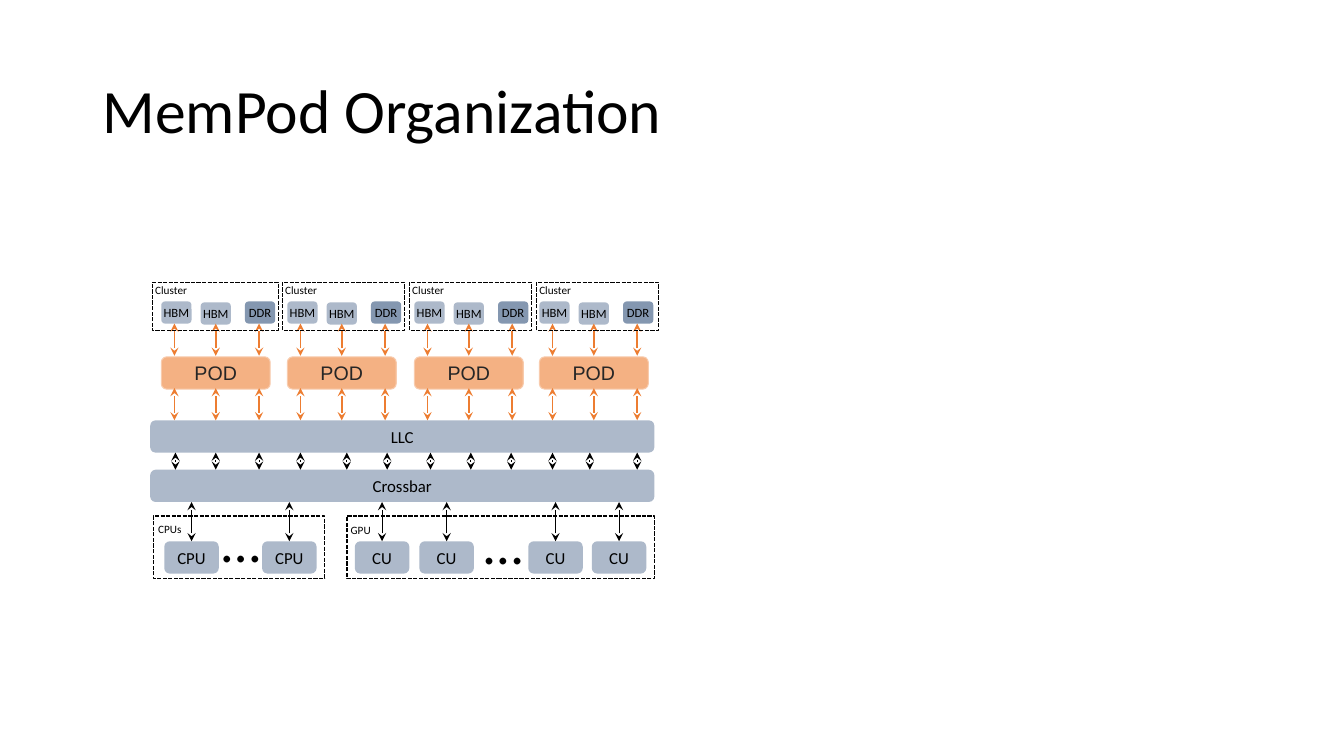
from dataclasses import dataclass
from lxml.etree import SubElement
from pptx import Presentation
from pptx.dml.color import RGBColor
from pptx.enum.dml import MSO_LINE
from pptx.enum.shapes import MSO_CONNECTOR, MSO_SHAPE
from pptx.enum.text import MSO_ANCHOR, PP_ALIGN
from pptx.oxml.ns import qn
from pptx.util import Inches, Pt


@dataclass(frozen=True)
class Theme:
    black: str = "000000"
    block: str = "ADB9CA"
    ddr: str = "8497B0"
    pod: str = "F4B183"
    pod_edge: str = "F8CBAD"
    pod_text: str = "262626"
    orange: str = "ED7D31"
    font: str = "Calibri"
    pod_font: str = "Arial"
    title: int = 44
    dots: int = 40
    pod_size: int = 14
    body: int = 12
    memory: int = 9
    caption: int = 8


T = Theme()


def rgb(color):
    return RGBColor.from_string(color)


def write(tf, text, size=T.body, color=T.black, font=T.font, align=PP_ALIGN.LEFT,
          anchor=MSO_ANCHOR.TOP, wrap=True, spacing=None):
    tf.word_wrap = wrap
    tf.vertical_anchor = anchor
    p = tf.paragraphs[0]
    p.alignment = align
    p.line_spacing = spacing
    r = p.add_run()
    r.text = text
    r.font.size = Pt(size)
    r.font.name = font
    r.font.color.rgb = rgb(color)


class Canvas:
    def __init__(self, s):
        self.s = s

    def text(self, text, x, y, w, h, **fmt):
        sp = self.s.shapes.add_textbox(Inches(x), Inches(y), Inches(w), Inches(h))
        write(sp.text_frame, text, **fmt)

    def block(self, text, x, y, w, h, fill=T.block, edge=None, **fmt):
        sp = self.s.shapes.add_shape(MSO_SHAPE.ROUNDED_RECTANGLE,
                                     Inches(x), Inches(y), Inches(w), Inches(h))
        sp.shadow.inherit = False
        sp.fill.solid()
        sp.fill.fore_color.rgb = rgb(fill)
        if edge:
            sp.line.color.rgb = rgb(edge)
            sp.line.width = Pt(0.75)
        else:
            sp.line.fill.background()
        tf = sp.text_frame
        tf.margin_left = tf.margin_right = tf.margin_top = tf.margin_bottom = 0
        write(tf, text, align=PP_ALIGN.CENTER, anchor=MSO_ANCHOR.MIDDLE, wrap=False, **fmt)

    def frame(self, x, y, w, h):
        sp = self.s.shapes.add_shape(MSO_SHAPE.RECTANGLE,
                                     Inches(x), Inches(y), Inches(w), Inches(h))
        sp.shadow.inherit = False
        sp.fill.background()
        sp.line.color.rgb = rgb(T.black)
        sp.line.width = Pt(1)
        sp.line.dash_style = MSO_LINE.SQUARE_DOT

    def arrow(self, x, bottom, top, color=T.black, width=0.5):
        c = self.s.shapes.add_connector(MSO_CONNECTOR.STRAIGHT,
                                        Inches(x), Inches(bottom), Inches(x), Inches(top))
        c.line.color.rgb = rgb(color)
        c.line.width = Pt(width)
        ln = c.line._get_or_add_ln()
        for end in ("a:headEnd", "a:tailEnd"):
            SubElement(ln, qn(end), type="stealth")
        SubElement(c._element.spPr, qn("a:effectLst"))


prs = Presentation()
prs.slide_width, prs.slide_height = Inches(13.33), Inches(7.5)
s = prs.slides.add_slide(prs.slide_layouts[6])
canvas = Canvas(s)

canvas.text("MemPod Organization", 0.92, 0.4, 11.5, 1.45, size=T.title,
            anchor=MSO_ANCHOR.MIDDLE, spacing=0.9)

UNIT_W, UNIT_Y, BAR_H = 0.54, 5.37, 0.32
groups = [
    ("CPUs", "CPU", (1.63, 2.6), 1.52, 1.7, 1.47, 5.13, 2.1, 4.98),
    ("GPU", "CU", (3.52, 4.16, 5.24, 5.87), 3.44, 3.05, 3.38, 5.14, 4.7, 5),
]
for caption, unit, lefts, frame_x, frame_w, cap_x, cap_y, dots_x, dots_y in groups:
    for x in lefts:
        canvas.block(unit, x, UNIT_Y, UNIT_W, BAR_H)
        canvas.arrow(x + UNIT_W / 2, UNIT_Y, 4.98)
    canvas.text("…", dots_x, dots_y, 1, 0.77, size=T.dots)
    canvas.text(caption, cap_x, cap_y, 0.44, 0.24, size=T.caption, wrap=False)
    canvas.frame(frame_x, 5.12, frame_w, 0.62)

for name, y in (("Crossbar", 4.66), ("LLC", 4.17)):
    canvas.block(name, 1.49, y, 5, BAR_H)
for x in (1.74, 2.14, 2.57, 2.98, 3.44, 3.84, 4.27, 4.67, 5.07, 5.48, 5.85, 6.32):
    canvas.arrow(x, 4.66, 4.49)

memories = [("HBM", 0, 2.99, T.block), ("HBM", 0.39, 3, T.block), ("DDR", 0.83, 2.99, T.ddr)]
clusters = [(1.6, 1.51, 1.25), (2.85, 2.8, 1.21), (4.11, 4.06, 1.21), (5.35, 5.32, 1.21)]
for pod_x, frame_x, frame_w in clusters:
    canvas.block("POD", pod_x, 3.54, 1.08, BAR_H, fill=T.pod, edge=T.pod_edge,
                 size=T.pod_size, color=T.pod_text, font=T.pod_font)
    for name, dx, y, fill in memories:
        canvas.block(name, pod_x + dx, y, 0.3, 0.22, fill=fill, size=T.memory)
    for dx in (0.13, 0.54, 0.97):
        for bottom, top in ((4.17, 3.85), (3.53, 3.21)):
            canvas.arrow(pod_x + dx, bottom, top, color=T.orange, width=1.25)
    canvas.text("Cluster", frame_x - 0.07, 2.76, 0.52, 0.24, size=T.caption, wrap=False)
    canvas.frame(frame_x, 2.8, frame_w, 0.48)

prs.save("out.pptx")
